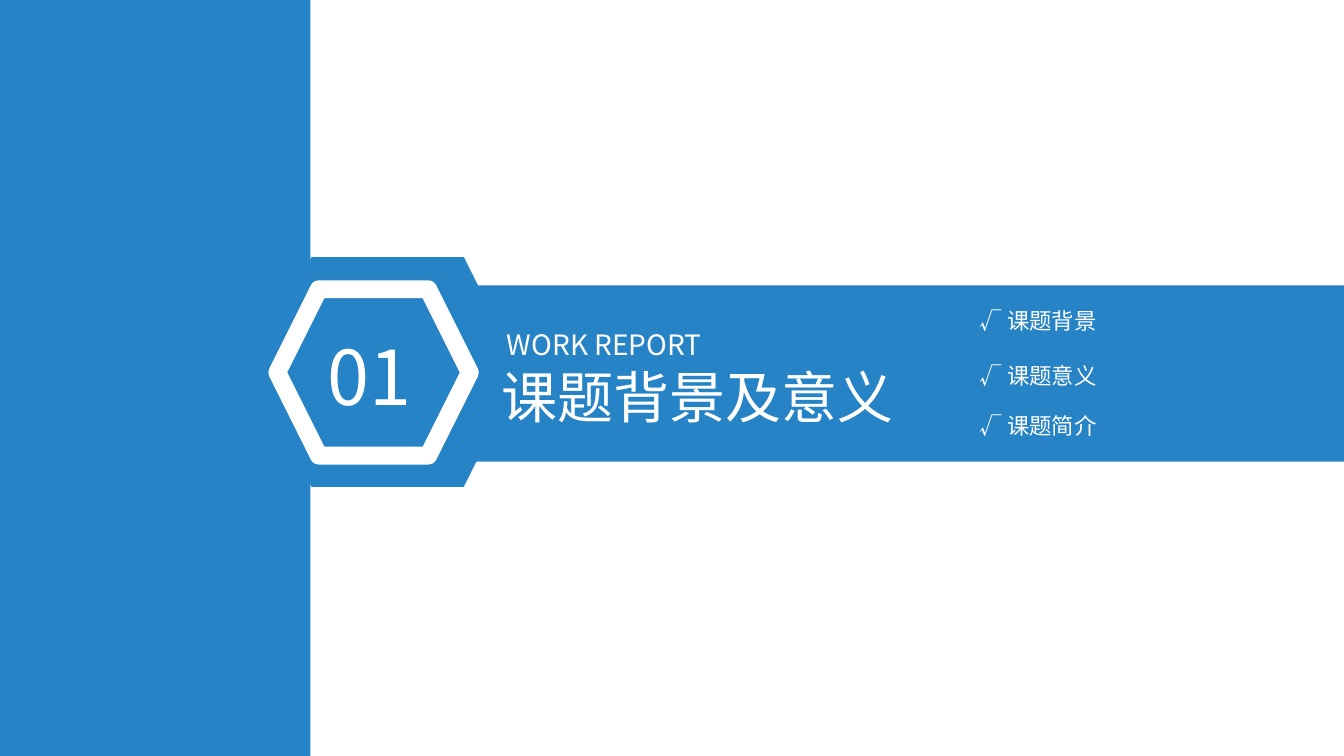
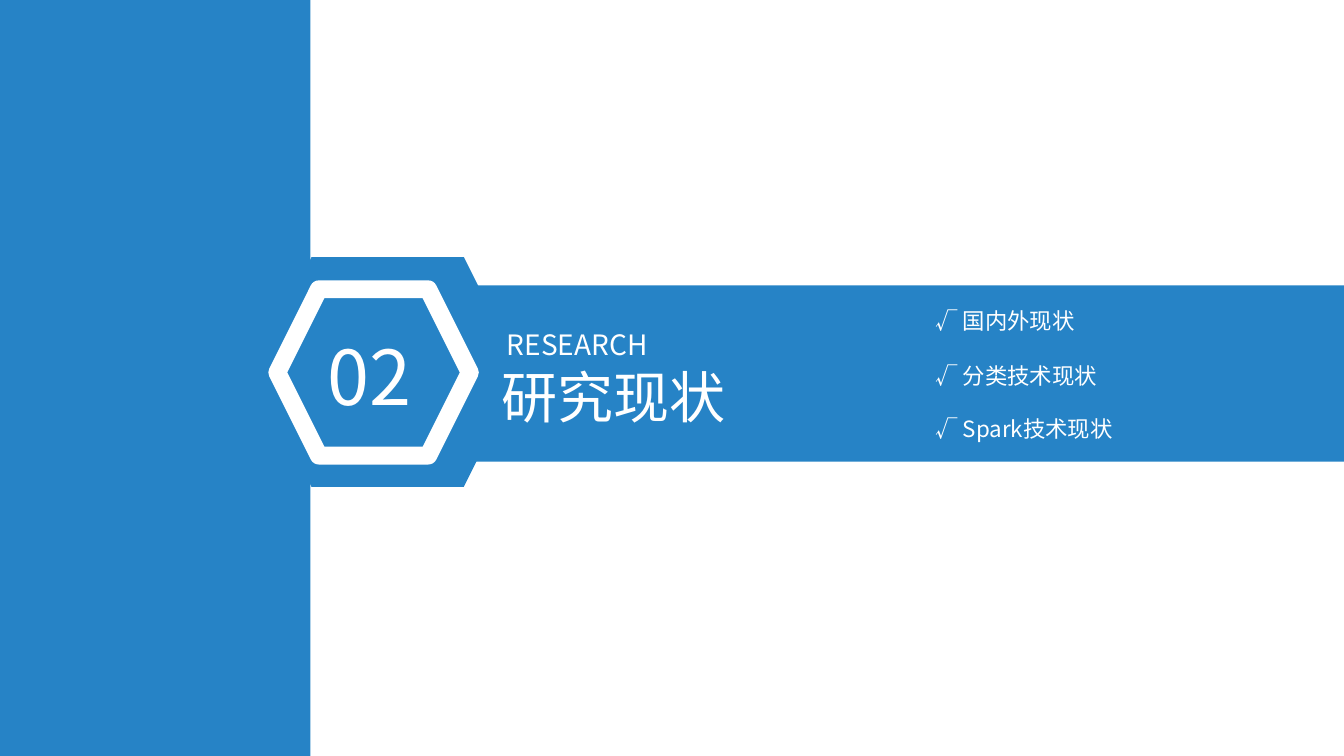
from dataclasses import dataclass

from lxml.etree import SubElement
from pptx import Presentation
from pptx.dml.color import RGBColor
from pptx.enum.shapes import MSO_SHAPE
from pptx.enum.text import MSO_AUTO_SIZE
from pptx.oxml.ns import qn
from pptx.shapes.autoshape import Shape
from pptx.slide import Slide
from pptx.util import Inches, Pt

BLUE = RGBColor(0x26, 0x83, 0xC6)
WHITE = RGBColor(0xFF, 0xFF, 0xFF)
FONT_SC = "Noto Sans CJK SC"
FONT_JP = "Noto Sans CJK JP"
SLIDE_WIDTH, SLIDE_HEIGHT = 13.33, 7.5
BLANK_LAYOUT = 6


@dataclass(frozen=True)
class Topic:
    text: str
    top: float
    width: float


@dataclass(frozen=True)
class Section:
    number: str
    title: str
    title_width: float
    subtitle: str
    subtitle_width: float
    chinese_font: str
    topics_left: float
    topics: tuple[Topic, ...]


SECTIONS = (
    Section(
        "01", "课题背景及意义", 4.13, "WORK REPORT", 2.68, FONT_JP, 9.62,
        (
            Topic("课题背景", 3.0, 1.39),
            Topic("课题意义", 3.54, 1.39),
            Topic("课题简介", 4.04, 1.39),
        ),
    ),
    Section(
        "02", "研究现状", 2.45, "RESEARCH", 2.03, FONT_SC, 9.18,
        (
            Topic("国内外现状", 3.0, 1.61),
            Topic("分类技术现状", 3.54, 1.84),
            Topic("Spark技术现状", 4.07, 2.03),
        ),
    ),
)


def add_blue_shape(slide: Slide, kind: MSO_SHAPE, left: float, top: float,
                   width: float, height: float) -> Shape:
    shape = slide.shapes.add_shape(
        kind, Inches(left), Inches(top), Inches(width), Inches(height))
    shape.shadow.inherit = False
    shape.fill.solid()
    shape.fill.fore_color.rgb = BLUE
    shape.line.fill.background()
    return shape


def outline_white(shape: Shape, width: float) -> None:
    """Give the shape a white outline with rounded corners."""
    shape.line.color.rgb = WHITE
    shape.line.width = Pt(width)
    SubElement(shape.line._get_or_add_ln(), qn("a:round"))


def add_text(slide: Slide, text: str, *, left: float, top: float, width: float,
             height: float, size: float, font: str = FONT_SC, mark: str = "") -> None:
    """Add one white line, with an optional leading mark in the standard font."""
    box = slide.shapes.add_textbox(
        Inches(left), Inches(top), Inches(width), Inches(height))
    frame = box.text_frame
    frame.word_wrap = True
    frame.auto_size = MSO_AUTO_SIZE.SHAPE_TO_FIT_TEXT
    for content, face in ((mark, FONT_SC), (text, font)):
        if not content:
            continue
        run = frame.paragraphs[0].add_run()
        run.text = content
        run.font.size = Pt(size)
        run.font.color.rgb = WHITE
        run.font.name = face
        SubElement(run.font._element, qn("a:ea"), typeface=face)


def add_backdrop(slide: Slide) -> None:
    """Draw the side panel, the title band and the number badge."""
    add_blue_shape(slide, MSO_SHAPE.RECTANGLE, 0, 0, 3.08, SLIDE_HEIGHT)
    add_blue_shape(slide, MSO_SHAPE.HEXAGON, 2.52, 2.55, 2.65, 2.28)
    band_left = 4.31
    add_blue_shape(slide, MSO_SHAPE.RECTANGLE, band_left, 2.83,
                   SLIDE_WIDTH - band_left, 1.75)
    badge = add_blue_shape(slide, MSO_SHAPE.HEXAGON, 2.75, 2.87, 1.91, 1.65)
    outline_white(badge, 12.75)


def add_section(slide: Slide, section: Section) -> None:
    add_backdrop(slide)
    add_text(slide, section.number, left=3.15, top=3.22, width=1.18,
             height=1.01, size=54)
    add_text(slide, section.title, left=4.88, top=3.55, width=section.title_width,
             height=0.77, size=40, font=section.chinese_font)
    add_text(slide, section.subtitle, left=4.93, top=3.2,
             width=section.subtitle_width, height=0.44, size=20)
    for topic in section.topics:
        add_text(slide, topic.text, left=section.topics_left, top=topic.top,
                 width=topic.width, height=0.37, size=16,
                 font=section.chinese_font, mark="√ ")


def main() -> None:
    presentation = Presentation()
    presentation.slide_width = Inches(SLIDE_WIDTH)
    presentation.slide_height = Inches(SLIDE_HEIGHT)
    for section in SECTIONS:
        slide = presentation.slides.add_slide(
            presentation.slide_layouts[BLANK_LAYOUT])
        add_section(slide, section)
    presentation.save("out.pptx")


if __name__ == "__main__":
    main()
